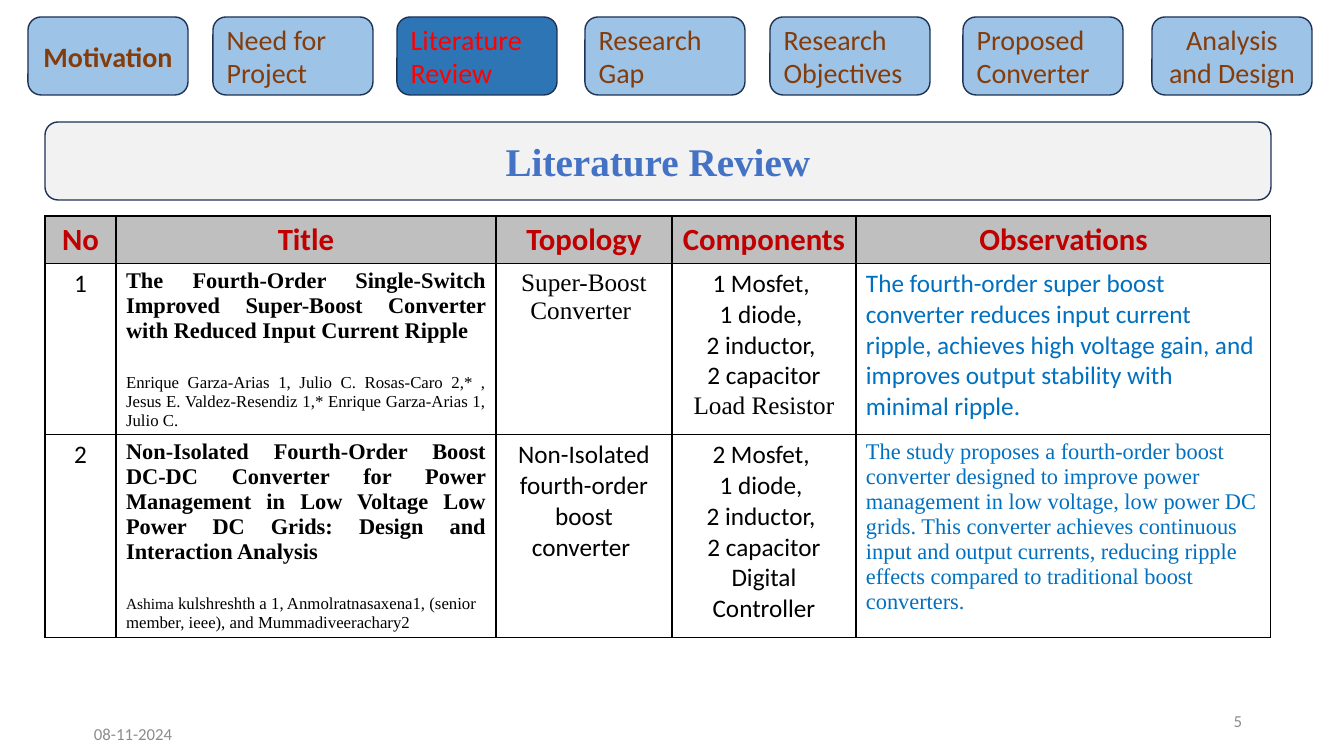
from lxml import etree
from pptx import Presentation, util as u
from pptx.dml.color import RGBColor
from pptx.enum import shapes, text
from pptx.oxml.ns import qn

SANS, SERIF = "Calibri", "Times New Roman"
BLACK, WHITE = RGBColor(0, 0, 0), RGBColor(255, 255, 255)
NAVY, SKY = RGBColor(0x1E, 0x32, 0x56), RGBColor(0x9D, 0xC3, 0xE6)
DEEP, BROWN = RGBColor(0x2E, 0x75, 0xB6), RGBColor(0x84, 0x3C, 0x0B)
RED, CRIMSON = RGBColor(255, 0, 0), RGBColor(0xC0, 0, 0)
PALE, SILVER = RGBColor(0xF2, 0xF2, 0xF2), RGBColor(0xBF, 0xBF, 0xBF)
TITLE_BLUE, NOTE_BLUE = RGBColor(0x44, 0x72, 0xC4), RGBColor(0, 0x70, 0xC0)
GREY = RGBColor(0x8C, 0x8C, 0x8C)
LEFT, CENTER = text.PP_ALIGN.LEFT, text.PP_ALIGN.CENTER
RIGHT, JUSTIFY = text.PP_ALIGN.RIGHT, text.PP_ALIGN.JUSTIFY

# left, label, format
TABS = [
    (28, "Motivation", dict(align=CENTER, bold=True)),
    (213, "Need for Project", {}),
    (397, "Literature Review", dict(color=RED)),
    (585, "Research Gap", {}),
    (770, "Research Objectives", {}),
    (963, "Proposed Converter", {}),
    (1152, "Analysis and Design", dict(align=CENTER)),
]
CURRENT = "Literature Review"
BANNER = (45, 122, 1226, 78)
COLUMNS = [("No", 71), ("Title", 380), ("Topology", 176),
           ("Components", 184), ("Observations", 415)]
TABLE_LEFT, TABLE_TOP = 45, 216
ROW_HEIGHTS = [47, 171, 203]

BODY = dict(size=18, align=CENTER)
PAPER = dict(size=16, font=SERIF, bold=True, align=JUSTIFY, after=9.9)
AUTHORS = dict(size=12, font=SERIF, before=11.9)
NOTE = dict(size=18, color=NOTE_BLUE)
# each cell is a list of (text, format) paragraphs
PAPERS = [
    [
        [("1", BODY)],
        [("The Fourth-Order Single-Switch Improved Super-Boost Converter with "
          "Reduced Input Current Ripple", PAPER),
         ("Enrique Garza-Arias 1, Julio C. Rosas-Caro 2,* , Jesus E. Valdez-Resendiz 1,* "
          "Enrique Garza-Arias 1, Julio C.", dict(AUTHORS, align=JUSTIFY))],
        [("Super-Boost Converter ", dict(BODY, font=SERIF))],
        [("1 Mosfet, ", BODY), ("1 diode, ", BODY), ("2 inductor, ", BODY),
         ("2 capacitor", BODY), ("Load Resistor", dict(BODY, font=SERIF))],
        [("The fourth-order super boost converter reduces input current ripple, achieves "
          "high voltage gain, and improves output stability with minimal ripple.", NOTE)],
    ],
    [
        [("2", BODY)],
        [("Non-Isolated Fourth-Order Boost DC-DC Converter for Power Management in Low "
          "Voltage Low Power DC Grids: Design and Interaction Analysis", PAPER),
         ([("Ashima ", 11),
           ("kulshreshth a 1, Anmolratnasaxena1, (senior member, ieee), "
            "and Mummadiveerachary2", 12)], AUTHORS)],
        [("Non-Isolated fourth-order boost converter ", BODY)],
        [("2 Mosfet, ", BODY), ("1 diode, ", BODY), ("2 inductor, ", BODY),
         ("2 capacitor Digital Controller", BODY)],
        [("The study proposes a fourth-order boost converter designed to improve power "
          "management in low voltage, low power DC grids. This converter achieves "
          "continuous input and output currents, reducing ripple effects compared to "
          "traditional boost converters.", dict(NOTE, size=16, font=SERIF))],
    ],
]
# text, box, alignment
FOOTERS = [("5", (950, 701, 302, 40), RIGHT),
           ("08-11-2024", (84, 714, 302, 40), LEFT)]


def px(n):
    return u.Emu(round(n * 914400 / 100.8))


def box(*lengths):
    return [px(n) for n in lengths]


def write(p, content, size=18, font=SANS, color=BLACK, bold=False, align=LEFT,
          before=0, after=0):
    """Fill a paragraph with a string, or with (string, size) runs."""
    p.alignment = align
    p.space_before, p.space_after = u.Pt(before), u.Pt(after)
    runs = [(content, size)] if isinstance(content, str) else content
    for words, points in runs:
        r = p.add_run()
        r.text = words
        r.font.name, r.font.size, r.font.bold = font, u.Pt(points), bold
        r.font.color.rgb = color


def add_rounded(s, place, fill):
    sp = s.shapes.add_shape(shapes.MSO_SHAPE.ROUNDED_RECTANGLE, *box(*place))
    sp.shadow.inherit = False
    sp.fill.solid()
    sp.fill.fore_color.rgb = fill
    sp.line.color.rgb, sp.line.width = NAVY, u.Pt(1)
    return sp


def set_frame(tf):
    tf.word_wrap = True
    tf.vertical_anchor = text.MSO_ANCHOR.MIDDLE
    return tf.paragraphs[0]


def fill_cell(cell, paragraphs, fill):
    tf = cell.text_frame
    for i, (content, style) in enumerate(paragraphs):
        write(tf.add_paragraph() if i else tf.paragraphs[0], content, **style)
    tcPr = cell._tc.get_or_add_tcPr()
    for side in ("a:lnL", "a:lnR", "a:lnT", "a:lnB"):
        ln = etree.SubElement(tcPr, qn(side), w=str(u.Pt(1)))
        solid = etree.SubElement(ln, qn("a:solidFill"))
        etree.SubElement(solid, qn("a:srgbClr"), val=str(BLACK))
    cell.fill.solid()
    cell.fill.fore_color.rgb = fill


def add_papers_table(s):
    widths = [width for _, width in COLUMNS]
    table = s.shapes.add_table(
        len(ROW_HEIGHTS), len(COLUMNS),
        *box(TABLE_LEFT, TABLE_TOP, sum(widths), sum(ROW_HEIGHTS))).table
    table.first_row = table.horz_banding = False
    for column, width in zip(table.columns, widths):
        column.width = px(width)
    for row, height in zip(table.rows, ROW_HEIGHTS):
        row.height = px(height)
    heading = dict(size=22, color=CRIMSON, bold=True, align=CENTER)
    header = [[(name, heading)] for name, _ in COLUMNS]
    for i, cells in enumerate([header] + PAPERS):
        for j, paragraphs in enumerate(cells):
            fill_cell(table.cell(i, j), paragraphs, WHITE if i else SILVER)


def main():
    prs = Presentation()
    prs.slide_width, prs.slide_height = box(1344, 756)
    s = prs.slides.add_slide(prs.slide_layouts[5])

    add_rounded(s, BANNER, PALE)
    title = s.shapes.title
    title.left, title.top, title.width, title.height = box(*BANNER)
    write(set_frame(title.text_frame), "Literature Review", size=28, font=SERIF,
          color=TITLE_BLUE, bold=True, align=CENTER)
    s.shapes._spTree.append(title._element)

    add_papers_table(s)

    for left, label, style in TABS:
        sp = add_rounded(s, (left, 17, 160, 78), DEEP if label == CURRENT else SKY)
        write(set_frame(sp.text_frame), label, **{"size": 20, "color": BROWN, **style})

    for words, place, align in FOOTERS:
        tb = s.shapes.add_textbox(*box(*place))
        write(set_frame(tb.text_frame), words, size=12, color=GREY, align=align)

    prs.save("out.pptx")


if __name__ == "__main__":
    main()
